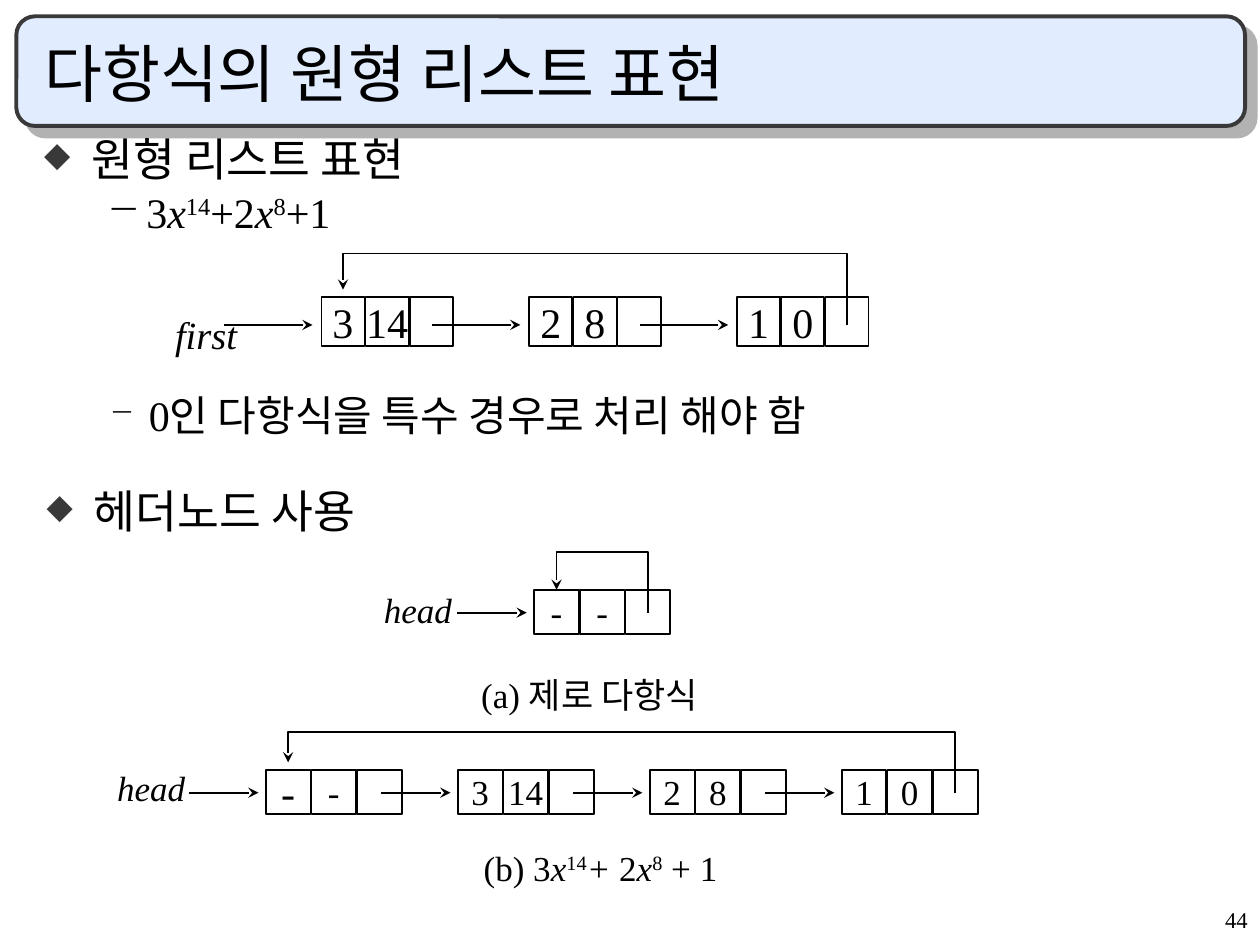
from lxml import etree
from pptx import Presentation
from pptx import util as u
from pptx.dml.color import RGBColor
from pptx.enum import shapes, text
from pptx.oxml import parse_xml
from pptx.oxml.ns import nsdecls, qn

COLORS = {"ink": "000000", "panel": "E1ECFF", "edge": "393939", "shade": "B2B2B2"}
FONT = "Times New Roman"
ITALIC = {"italic": True}
RAISED = {"raised": True}
DIAMOND = {"mark": "◆", "hue": "edge", "scale": 75, "left": 0.95, "hang": 0.95}
DASH = {"mark": "−", "hue": "ink", "scale": 100, "left": 2.06, "hang": 0.79}
SMALL_DASH = {**DASH, "scale": 75}


def rgb(name):
    """Return the named colour."""
    return RGBColor.from_string(COLORS[name])


def add_span(para, words, size=20, italic=False, raised=False):
    """Add one formatted run to a paragraph."""
    span = para.add_run()
    span.text = words
    span.font.name = FONT
    span.font.size = u.Pt(size)
    span.font.italic = italic
    span.font.color.rgb = rgb("ink")
    if raised:
        span.font._element.set("baseline", "30000")


def add_bullet(para, mark, hue, scale, left, hang):
    """Give a paragraph a hanging bullet."""
    props = para._p.get_or_add_pPr()
    props.set("marL", str(u.Cm(left)))
    props.set("indent", str(-u.Cm(hang)))
    color = etree.SubElement(props, qn("a:buClr"))
    etree.SubElement(color, qn("a:srgbClr")).set("val", COLORS[hue])
    etree.SubElement(props, qn("a:buSzPct")).set("val", str(scale * 1000))
    etree.SubElement(props, qn("a:buChar")).set("char", mark)


class Board:
    """Hold the drawing style and the current slide."""

    def __init__(self, page, line_width=1):
        """Remember the slide and the line width."""
        self.page = page
        self.line_width = u.Pt(line_width)

    def panel(self, left, top, width, height):
        """Draw the rounded title panel with its hard shadow."""
        box = self.page.shapes.add_shape(
            shapes.MSO_SHAPE.ROUNDED_RECTANGLE,
            u.Cm(left), u.Cm(top), u.Cm(width), u.Cm(height))
        box.adjustments[0] = 0.17
        box.fill.solid()
        box.fill.fore_color.rgb = rgb("panel")
        box.line.color.rgb = rgb("edge")
        box.line.width = u.Pt(2.25)
        box._element.spPr.append(parse_xml(
            f'<a:effectLst {nsdecls("a")}><a:outerShdw dist="{u.Pt(8.5)}" dir="2700000" '
            f'algn="ctr" rotWithShape="0"><a:srgbClr val="{COLORS["shade"]}"/>'
            '</a:outerShdw></a:effectLst>'))

    def label(self, left, top, width, height, *lines, wrap=True, anchor=text.MSO_ANCHOR.TOP):
        """Add a text box; each line is (spans, options)."""
        box = self.page.shapes.add_textbox(u.Cm(left), u.Cm(top), u.Cm(width), u.Cm(height))
        frame = box.text_frame
        frame.word_wrap = wrap
        frame.vertical_anchor = anchor
        for index, (spans, options) in enumerate(lines):
            para = frame.add_paragraph() if index else frame.paragraphs[0]
            para.line_spacing = options.get("spacing", 1.0)
            para.space_before = u.Pt(options.get("before", 0))
            para.alignment = options.get("align", text.PP_ALIGN.LEFT)
            for words, style in spans:
                add_span(para, words, **{"size": options.get("size", 20), **style})
            if "bullet" in options:
                add_bullet(para, **options["bullet"])

    def outline(self, shape):
        """Apply the thin line to a shape."""
        shape.line.color.rgb = rgb("ink")
        shape.line.width = self.line_width

    def point(self, shape):
        """Put a stealth arrowhead at the end of a line."""
        etree.SubElement(shape.line._get_or_add_ln(), qn("a:tailEnd")).set("type", "stealth")

    def cell(self, left, top, width, height, words, size):
        """Draw one field of a list node."""
        box = self.page.shapes.add_shape(
            shapes.MSO_SHAPE.RECTANGLE, u.Cm(left), u.Cm(top), u.Cm(width), u.Cm(height))
        box.shadow.inherit = False
        box.fill.background()
        self.outline(box)
        if words:
            box.text_frame.word_wrap = False
            box.text_frame.vertical_anchor = text.MSO_ANCHOR.MIDDLE
            para = box.text_frame.paragraphs[0]
            para.alignment = text.PP_ALIGN.CENTER
            add_span(para, words, size=size)

    def arrow(self, start, end, y):
        """Draw a horizontal arrow."""
        line = self.page.shapes.add_connector(
            shapes.MSO_CONNECTOR.STRAIGHT, u.Cm(start), u.Cm(y), u.Cm(end), u.Cm(y))
        self.outline(line)
        self.point(line)
        etree.SubElement(line._element.spPr, qn("a:effectLst"))

    def loop(self, *points):
        """Draw the bent arrow that closes the circle."""
        spots = [(u.Cm(x), u.Cm(y)) for x, y in points]
        builder = self.page.shapes.build_freeform(*spots[0])
        builder.add_line_segments(spots[1:], close=False)
        bend = builder.convert_to_shape()
        bend.shadow.inherit = False
        bend.fill.background()
        self.outline(bend)
        self.point(bend)

    def circular_list(self, left, top, nodes, pitch, width, height, step, middle,
                      lead, tip, rise, gap, size, first_size=None):
        """Draw linked nodes, the arrows into them and the closing loop."""
        y = top + middle
        for index, fields in enumerate(nodes):
            start = left + index * pitch
            for column, words in enumerate((*fields, "")):
                first = index == column == 0
                self.cell(start + column * step, top, width, height, words,
                          first_size if first and first_size else size)
            self.arrow(start - lead, start - tip, y)
        tail, head = start + 2 * step + width / 2, left + width / 2
        self.loop((tail, y), (tail, y - rise), (head, y - rise), (head, top - gap))


def main():
    """Build the slide and save it."""
    deck = Presentation()
    deck.slide_width, deck.slide_height = u.Cm(25.4), u.Cm(19.05)
    board = Board(deck.slides.add_slide(deck.slide_layouts[6]))

    board.panel(0.33, 0.33, 24.77, 2.21)
    board.label(20.12, 18.21, 5.28, 0.84,
                ([("44", {})], {"size": 12.9, "spacing": 0.9, "align": text.PP_ALIGN.RIGHT}))
    board.label(0.64, 0.64, 23.93, 1.7,
                ([("다항식의 원형 리스트 표현", {})], {"size": 36}),
                anchor=text.MSO_ANCHOR.BOTTOM)
    polynomial = [("3", {}), ("x", ITALIC), ("14", RAISED), ("+2", {}),
                  ("x", ITALIC), ("8", RAISED), ("+1", {})]
    board.label(0.64, 2.74, 23.93, 14.8,
                ([("원형 리스트 표현", {})], {"size": 26, "spacing": 0.8, "bullet": DIAMOND}),
                (polynomial, {"size": 24, "spacing": 0.8, "before": 6, "bullet": DASH}))
    board.label(0.69, 7.92, 23.93, 3.2,
                ([("0인 다항식을 특수 경우로 처리 해야 함", {})],
                 {"size": 24, "spacing": 0.8, "bullet": SMALL_DASH}),
                ([("헤더노드 사용", {})],
                 {"size": 26, "spacing": 0.8, "before": 31, "bullet": DIAMOND}))

    terms = [("3", "14"), ("2", "8"), ("1", "0")]
    blank = ("-", "-")
    large = dict(pitch=4.19, width=0.87, height=0.99, step=0.89, middle=0.56,
                 lead=1.96, tip=0.18, rise=1.44, size=24)
    small = dict(pitch=3.87, width=0.9, height=0.89, step=0.92, middle=0.46,
                 lead=1.55, tip=0.15, rise=1.22, size=20)
    board.circular_list(6.48, 5.99, terms, gap=0.15, **large)
    board.circular_list(10.77, 11.89, [blank], gap=0, **small)
    board.circular_list(5.36, 15.52, [blank, *terms], gap=0.15, first_size=24, **small)

    caption = [("(b) 3", {}), ("x", ITALIC), ("14", RAISED), ("+ ", ITALIC), ("2", {}),
               ("x", ITALIC), ("8", RAISED), (" + 1", {})]
    for left, top, width, height, spans, size in (
            (3.28, 6.15, 1.75, 1.19, [("first", ITALIC)], 22),
            (7.49, 11.73, 1.88, 1.09, [("head", ITALIC)], 20),
            (2.11, 15.32, 1.88, 1.09, [("head", ITALIC)], 20),
            (9.45, 13.46, 5.26, 1.09, [("(a) 제로 다항식", {})], 20),
            (9.5, 16.94, 5.31, 1.09, caption, 20)):
        board.label(left, top, width, height, (spans, {"size": size}), wrap=False)

    deck.save("out.pptx")


if __name__ == "__main__":
    main()
